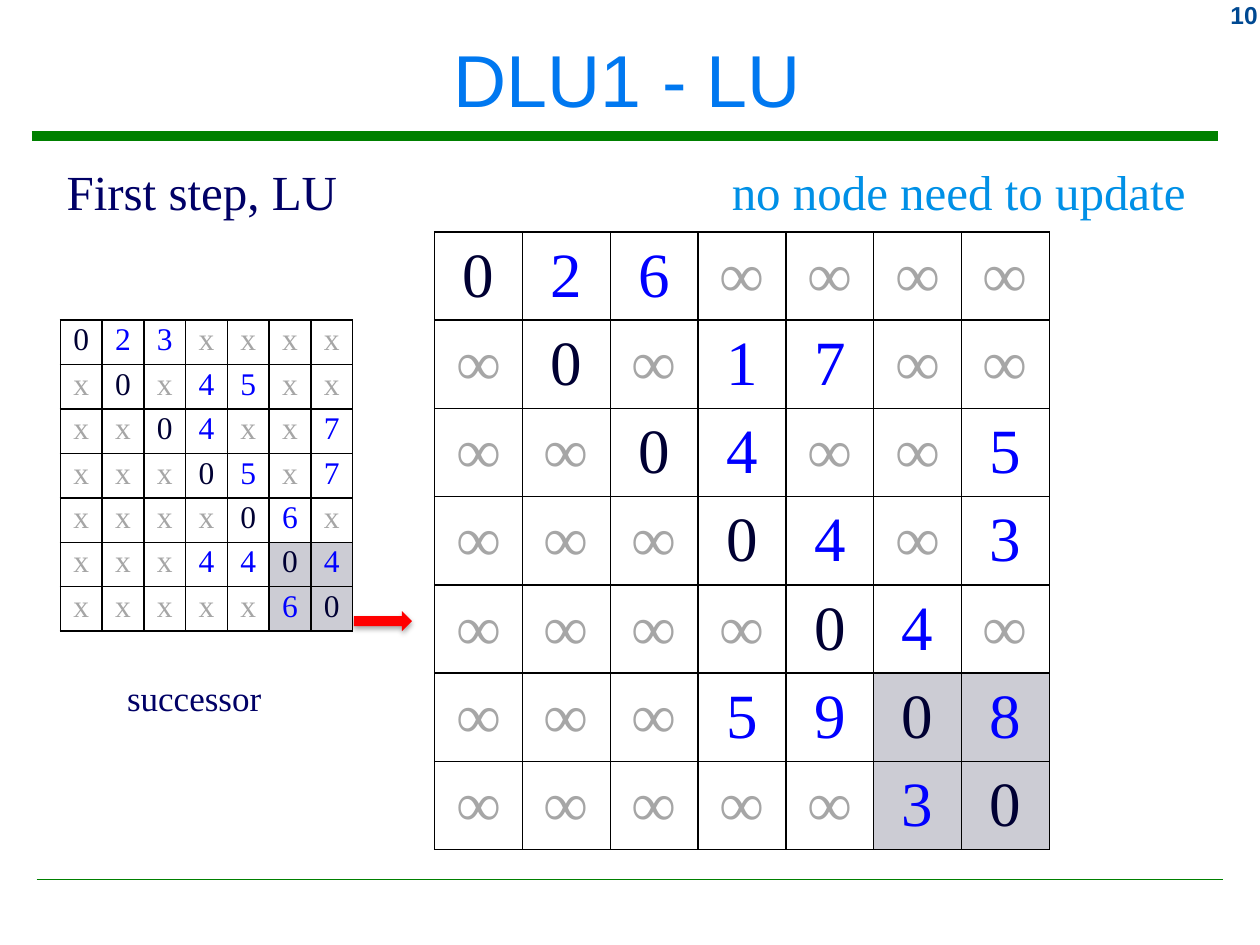
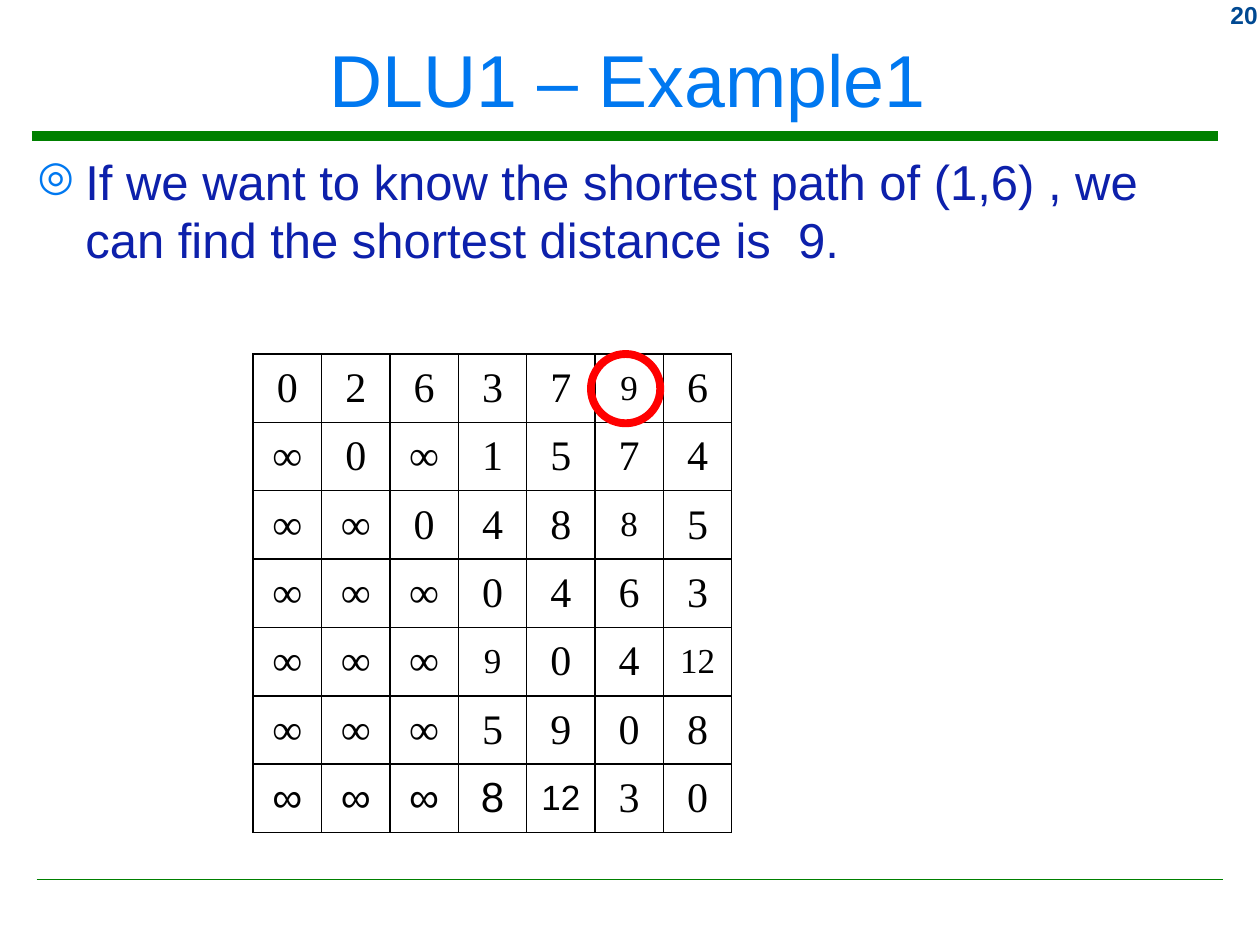
from lxml import etree
from pptx import Presentation
from pptx.dml.color import RGBColor
from pptx.enum.shapes import MSO_CONNECTOR, MSO_SHAPE
from pptx.enum.text import MSO_ANCHOR, PP_ALIGN
from pptx.oxml import parse_xml
from pptx.oxml.ns import nsdecls, qn
from pptx.util import Inches, Pt

LEFT, CENTER, RIGHT = PP_ALIGN.LEFT, PP_ALIGN.CENTER, PP_ALIGN.RIGHT
TOP, MIDDLE = MSO_ANCHOR.TOP, MSO_ANCHOR.MIDDLE
DOWN_ARROW, OVAL = MSO_SHAPE.DOWN_ARROW, MSO_SHAPE.OVAL
STRAIGHT = MSO_CONNECTOR.STRAIGHT

SANS, SERIF = "Arial", "Times New Roman"
COLORS = {
    "title": "0078F0", "rule": "008000", "number": "004992", "body": "0D20AB",
    "label": "000066", "remark": "0090E6", "red": "FF0000", "black": "000000",
    "diagonal": "000033", "value": "0000FF", "unreachable": "A6A6A6",
    "white": "FFFFFF", "updated": "CCCCD4",
}

LU_DISTANCES = """0 2 6 ∞ ∞ ∞ ∞
∞ 0 ∞ 1 7 ∞ ∞
∞ ∞ 0 4 ∞ ∞ 5
∞ ∞ ∞ 0 4 ∞ 3
∞ ∞ ∞ ∞ 0 4 ∞
∞ ∞ ∞ 5 9 0 8
∞ ∞ ∞ ∞ ∞ 3 0"""
LU_SUCCESSORS = """0 2 3 x x x x
x 0 x 4 5 x x
x x 0 4 x x 7
x x x 0 5 x 7
x x x x 0 6 x
x x x 4 4 0 4
x x x x x 6 0"""
FINAL_DISTANCES = """0 2 6 3 7 9 6
∞ 0 ∞ 1 5 7 4
∞ ∞ 0 4 8 8 5
∞ ∞ ∞ 0 4 6 3
∞ ∞ ∞ 9 0 4 12
∞ ∞ ∞ 5 9 0 8
∞ ∞ ∞ 8 12 3 0"""
SMALLER_CELLS = {(0, 5), (2, 5), (4, 3), (4, 6), (6, 4)}


def color(name):
    return RGBColor.from_string(COLORS[name])


def add_run(p, text, size, font, color_name, bold=False):
    r = p.add_run()
    r.text = text
    r.font.size = Pt(size)
    r.font.name = font
    r.font.bold = bold
    r.font.color.rgb = color(color_name)


def add_text(s, box, text, size, font, color_name, align=LEFT, anchor=TOP,
             bold=False, wrap=True):
    shape = s.shapes.add_textbox(*map(Inches, box))
    tf = shape.text_frame
    tf.word_wrap = wrap
    tf.vertical_anchor = anchor
    p = tf.paragraphs[0]
    p.alignment = align
    add_run(p, text, size, font, color_name, bold)
    return shape


def add_bullet_text(s, box, text):
    p = add_text(s, box, text, 28, SANS, "body").text_frame.paragraphs[0]
    pPr = p._p.get_or_add_pPr()
    pPr.set("marL", str(Inches(0.38)))
    pPr.set("indent", str(-Inches(0.38)))
    bullet_color = etree.SubElement(pPr, qn("a:buClr"))
    etree.SubElement(bullet_color, qn("a:srgbClr"), val=COLORS["title"])
    etree.SubElement(pPr, qn("a:buSzPct"), val="85000")
    etree.SubElement(pPr, qn("a:buChar"), char="◎")


def add_rule(s, x1, x2, y, width):
    line = s.shapes.add_connector(STRAIGHT, *map(Inches, (x1, y, x2, y)))
    line.line.color.rgb = color("rule")
    line.line.width = Pt(width)
    etree.SubElement(line._element.spPr, qn("a:effectLst"))


def add_frame(prs, title, number):
    """Add a slide with its title, rules and page number."""
    s = prs.slides.add_slide(prs.slide_layouts[6])
    add_rule(s, 0.25, 9.67, 1.08, 5.25)
    add_rule(s, 0.29, 9.71, 6.98, 1)
    add_text(s, (9.17, -0.05, 0.91, 0.33), number, 14, SANS, "number", RIGHT,
             bold=True)
    add_text(s, (0.08, 0.09, 9.8, 1.06), title, 42, SANS, "title", CENTER, MIDDLE)
    return s


def set_borders(cell):
    tcPr = cell._tc.get_or_add_tcPr()
    for position, side in enumerate(("lnL", "lnR", "lnT", "lnB")):
        tcPr.insert(position, parse_xml(
            f'<a:{side} {nsdecls("a")} w="{Pt(1)}"><a:solidFill>'
            f'<a:srgbClr val="{COLORS["black"]}"/></a:solidFill></a:{side}>'))


def add_matrix(s, box, matrix, style_of, fill_of, anchor=MIDDLE, margins=None):
    """style_of and fill_of give the run style and fill of a cell by row and column."""
    rows = [line.split() for line in matrix.splitlines()]
    x, y, w, h = map(Inches, box)
    table = s.shapes.add_table(len(rows), len(rows[0]), x, y, w, h).table
    table.first_row = table.horz_banding = False
    for i, row in enumerate(rows):
        for j, value in enumerate(row):
            cell = table.cell(i, j)
            cell.vertical_anchor = anchor
            if margins:
                cell.margin_left = cell.margin_right = Inches(margins[0])
                cell.margin_top = cell.margin_bottom = Inches(margins[1])
            fill = fill_of(i, j)
            if fill:
                cell.fill.solid()
                cell.fill.fore_color.rgb = color(fill)
            else:
                cell.fill.background()
            set_borders(cell)
            p = cell.text_frame.paragraphs[0]
            p.alignment = CENTER
            add_run(p, value, *style_of(i, j, value))


def lu_style(size):
    kinds = {"0": "diagonal", "∞": "unreachable", "x": "unreachable"}
    return lambda i, j, value: (size, SERIF, kinds.get(value, "value"))


def lu_fill(i, j):
    if min(i, j) >= 5:
        return "updated"
    return "white" if min(i, j) > 0 else None


def final_style(i, j, value):
    size = 20 if (i, j) in SMALLER_CELLS else 24
    return size, SANS if i == 6 and j < 5 else SERIF, "black"


def add_step_arrow(s, box):
    """Add a red arrow that points right, with a soft shadow below it."""
    arrow = s.shapes.add_shape(DOWN_ARROW, *map(Inches, box))
    arrow.rotation = 270
    arrow.fill.solid()
    arrow.fill.fore_color.rgb = color("red")
    arrow.line.fill.background()
    arrow._element.spPr.append(parse_xml(
        f'<a:effectLst {nsdecls("a")}><a:outerShdw blurRad="{Pt(3.1)}" '
        f'dist="{Pt(1.8)}" dir="5400000" rotWithShape="0">'
        f'<a:srgbClr val="{COLORS["black"]}"><a:alpha val="35000"/></a:srgbClr>'
        '</a:outerShdw></a:effectLst>'))


def add_ring(s, box):
    ring = s.shapes.add_shape(OVAL, *map(Inches, box))
    ring.shadow.inherit = False
    ring.fill.background()
    ring.line.color.rgb = color("red")
    ring.line.width = Pt(4.5)


def add_lu_slide(prs):
    s = add_frame(prs, "DLU1 - LU", "10")
    add_step_arrow(s, (2.96, 4.7, 0.16, 0.46))
    add_text(s, (0.43, 1.23, 2.38, 0.57), "First step, LU", 28, SERIF, "label",
             wrap=False)
    add_matrix(s, (3.45, 1.84, 4.88, 4.9), LU_DISTANCES, lu_style(36), lu_fill)
    add_matrix(s, (0.48, 2.54, 2.32, 2.47), LU_SUCCESSORS, lu_style(18), lu_fill,
               TOP, (0.05, 0.02))
    add_text(s, (0.91, 5.32, 1.28, 0.44), "successor", 20, SERIF, "label",
             wrap=False)
    remark = add_text(s, (5.71, 1.23, 3.84, 0.57), "no node need to update", 28,
                      SERIF, "remark", wrap=False)
    remark.fill.solid()
    remark.fill.fore_color.rgb = color("white")


def add_example_slide(prs):
    s = add_frame(prs, "DLU1 – Example1", "20")
    add_bullet_text(s, (0.2, 1.15, 9.6, 5.75),
                    "If we want to know the shortest path of (1,6) , we can find "
                    "the shortest distance is  9.")
    add_matrix(s, (2.01, 2.81, 3.8, 3.8), FINAL_DISTANCES, final_style,
               lambda i, j: None)
    add_ring(s, (4.69, 2.81, 0.55, 0.55))


def main():
    prs = Presentation()
    prs.slide_width, prs.slide_height = Inches(10), Inches(7.5)
    add_lu_slide(prs)
    add_example_slide(prs)
    prs.save("out.pptx")


if __name__ == "__main__":
    main()
